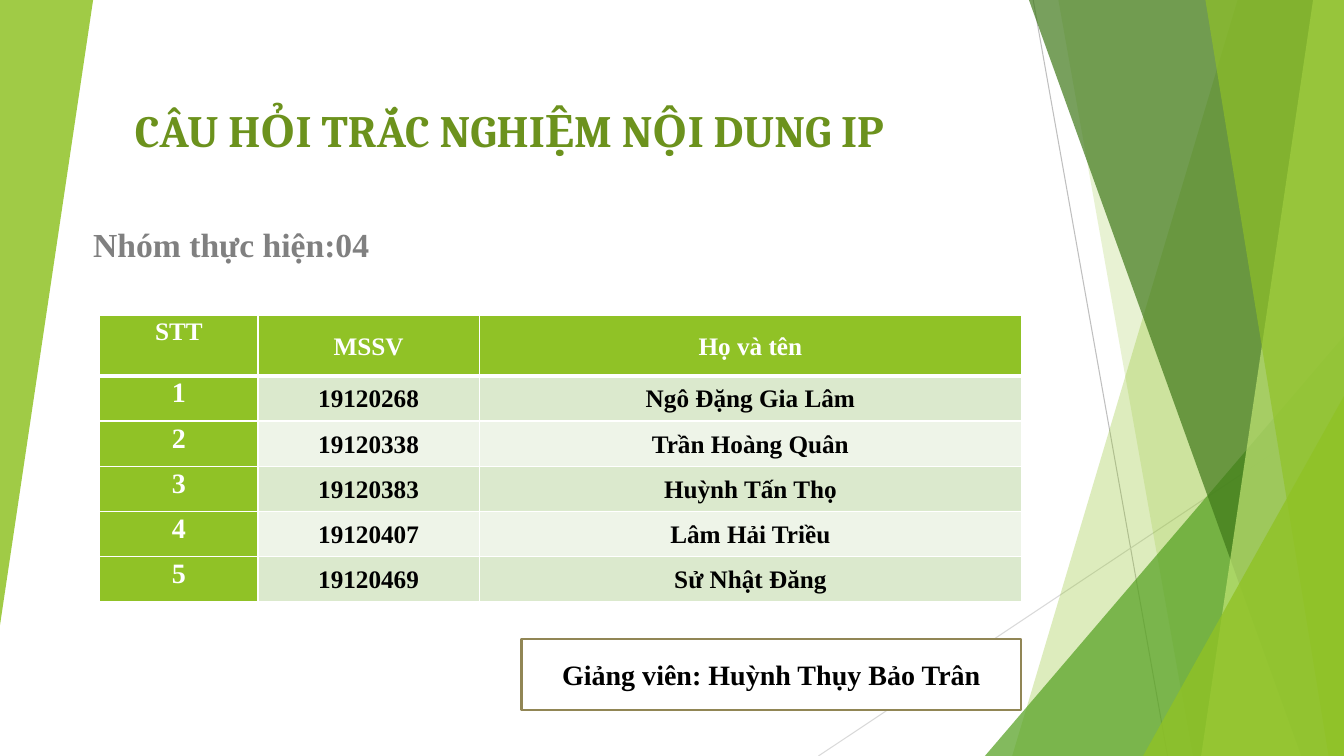
import pptx
import pptx.util
import pptx.dml.color
import pptx.enum.shapes
import pptx.enum.text
import pptx.oxml
import pptx.oxml.ns
import lxml.etree

Pt = pptx.util.Pt
SHAPE = pptx.enum.shapes.MSO_SHAPE
ALIGN = pptx.enum.text.PP_ALIGN
ANCHOR = pptx.enum.text.MSO_ANCHOR
SERIF = "Times New Roman"
COLORS = {
    "lime": "90C226", "green": "54A021", "forest": "3F7819", "pale": "C0E474",
    "title": "6C921D", "gray": "808080", "black": "000000", "white": "FFFFFF",
    "band": "DBE9CD", "light_band": "EEF4E8", "frame": "918655",
    "line": "BFBFBF", "faint_line": "D9D9D9",
}
HEADINGS = ("STT", "MSSV", "Họ và tên")
MEMBERS = (
    ("19120268", "Ngô Đặng Gia Lâm"),
    ("19120338", "Trần Hoàng Quân"),
    ("19120383", "Huỳnh Tấn Thọ"),
    ("19120407", "Lâm Hải Triều"),
    ("19120469", "Sử Nhật Đăng"),
)


def rgb(color):
    return pptx.dml.color.RGBColor.from_string(COLORS[color])


def sub(parent, tag, **attributes):
    return lxml.etree.SubElement(parent, pptx.oxml.ns.qn(tag), **attributes)


def write(frame, text, size=18, color="black", font=SERIF, align=ALIGN.LEFT,
          anchor=ANCHOR.TOP, before=0, after=0, spacing=1.0):
    frame.word_wrap = True
    frame.vertical_anchor = anchor
    paragraph = frame.paragraphs[0]
    paragraph.alignment = align
    paragraph.space_before, paragraph.space_after = Pt(before), Pt(after)
    paragraph.line_spacing = spacing
    run = paragraph.add_run()
    run.text = text
    run.font.size, run.font.name, run.font.bold = Pt(size), font, True
    run.font.color.rgb = rgb(color)


def paint(shape, color, opacity=100):
    shape.shadow.inherit = False
    shape.line.fill.background()
    shape.fill.solid()
    shape.fill.fore_color.rgb = rgb(color)
    if opacity < 100:
        tint = shape.fill._xPr.find(".//" + pptx.oxml.ns.qn("a:srgbClr"))
        sub(tint, "a:alpha", val=str(opacity * 1000))


def draw_facets(slide, left, top, width, height):
    facets = slide.shapes.add_group_shape().shapes
    right, bottom = left + width, top + height

    def ray(x1, y1, x2, y2, color):
        line = facets.add_connector(pptx.enum.shapes.MSO_CONNECTOR.STRAIGHT,
                                    Pt(x1), Pt(y1), Pt(x2), Pt(y2))
        line.line.color.rgb = rgb(color)
        line.line.width = Pt(0.75)
        sub(line._element.spPr, "a:effectLst")

    def slab(top_x, bottom_x, color, opacity):
        outline = facets.build_freeform(Pt(left + top_x), Pt(top), scale=1.0)
        outline.add_line_segments([(Pt(right), Pt(top)), (Pt(right), Pt(bottom)),
                                   (Pt(left + bottom_x), Pt(bottom))], close=True)
        paint(outline.convert_to_shape(), color, opacity)

    def wedge(x, y, wide, high, color, opacity, rotation=0):
        triangle = facets.add_shape(SHAPE.ISOSCELES_TRIANGLE, Pt(x), Pt(y), Pt(wide), Pt(high))
        triangle.adjustments[0] = 1.0
        triangle.rotation = rotation
        paint(triangle, color, opacity)

    ray(left + 738, top, left + 834, bottom, "line")
    ray(right, top + 290, left + 584.6, bottom, "faint_line")
    slab(884, 723, "lime", 30)
    slab(756, 852, "lime", 20)
    wedge(right - 256.5, bottom - 300, 256.5, 300, "green", 72)
    slab(735, 929.5, "forest", 70)
    slab(938, 858, "pale", 70)
    slab(861, 949, "lime", 65)
    wedge(right - 143.5, bottom - 257, 143.5, 257, "lime", 80)
    wedge(left, top, 66.5, 446.5, "lime", 85, rotation=180)


def draw_text(slide, left, top, width, height, text, **text_format):
    box = slide.shapes.add_textbox(Pt(left), Pt(top), Pt(width), Pt(height))
    write(box.text_frame, text, **text_format)


def border_cell(cell, bottom_width):
    properties = cell._tc.get_or_add_tcPr()
    widths = (("a:lnL", 1), ("a:lnR", 1), ("a:lnT", 1), ("a:lnB", bottom_width))
    for position, (side, width) in enumerate(widths):
        edge = pptx.oxml.parse_xml(
            f'<{side} {pptx.oxml.ns.nsdecls("a")} w="{Pt(width)}"><a:solidFill>'
            f'<a:srgbClr val="{COLORS["white"]}"/></a:solidFill></{side}>')
        properties.insert(position, edge)


def draw_members(slide, left, top, width, height):
    rows = [HEADINGS] + [(str(n), *member) for n, member in enumerate(MEMBERS, 1)]
    members = slide.shapes.add_table(len(rows), len(HEADINGS), Pt(left), Pt(top),
                                     Pt(width), Pt(height)).table
    heading_height = 43
    number_width, code_width = 113, 158
    for column, wide in zip(members.columns,
                            (number_width, code_width, width - number_width - code_width)):
        column.width = Pt(wide)
    for r, row in enumerate(rows):
        members.rows[r].height = Pt(
            (height - heading_height) / len(MEMBERS) if r else heading_height)
        for c, text in enumerate(row):
            cell = members.cell(r, c)
            accent = r == 0 or c == 0
            cell.fill.solid()
            cell.fill.fore_color.rgb = rgb(
                "lime" if accent else "band" if r % 2 else "light_band")
            border_cell(cell, 1 if r else 3)
            cell.margin_left = cell.margin_right = Pt(5)
            cell.margin_top = cell.margin_bottom = 0
            write(cell.text_frame, text, size=20 if r and c == 0 else 18,
                  color="white" if accent else "black", align=ALIGN.CENTER,
                  after=8, spacing=1.07)
            cell.vertical_anchor = ANCHOR.MIDDLE if c else ANCHOR.TOP


def draw_lecturer(slide, left, top, width, height):
    lecturer = slide.shapes.add_shape(SHAPE.RECTANGLE, Pt(left), Pt(top), Pt(width), Pt(height))
    paint(lecturer, "white")
    lecturer.line.color.rgb = rgb("frame")
    lecturer.line.width = Pt(1.5)
    write(lecturer.text_frame, "Giảng viên: Huỳnh Thụy Bảo Trân", size=20,
          align=ALIGN.CENTER, anchor=ANCHOR.MIDDLE)


def main():
    deck = pptx.Presentation()
    deck.slide_width, deck.slide_height = Pt(960), Pt(540)
    slide = deck.slides.add_slide(deck.slide_layouts[6])
    draw_facets(slide, 0, 0, 960, 540)
    draw_text(slide, 89.3, 54.7, 639.4, 60.5, "CÂU HỎI TRẮC NGHIỆM NỘI DUNG IP",
              size=32, color="title", font="Cambria", anchor=ANCHOR.BOTTOM)
    draw_text(slide, 59.5, 156.2, 349, 329, "Nhóm thực hiện:04",
              size=24, color="gray", before=10)
    draw_members(slide, 71.3, 225.4, 658.5, 204.5)
    draw_lecturer(slide, 372.5, 456.5, 357, 50.5)
    deck.save("out.pptx")


if __name__ == "__main__":
    main()
